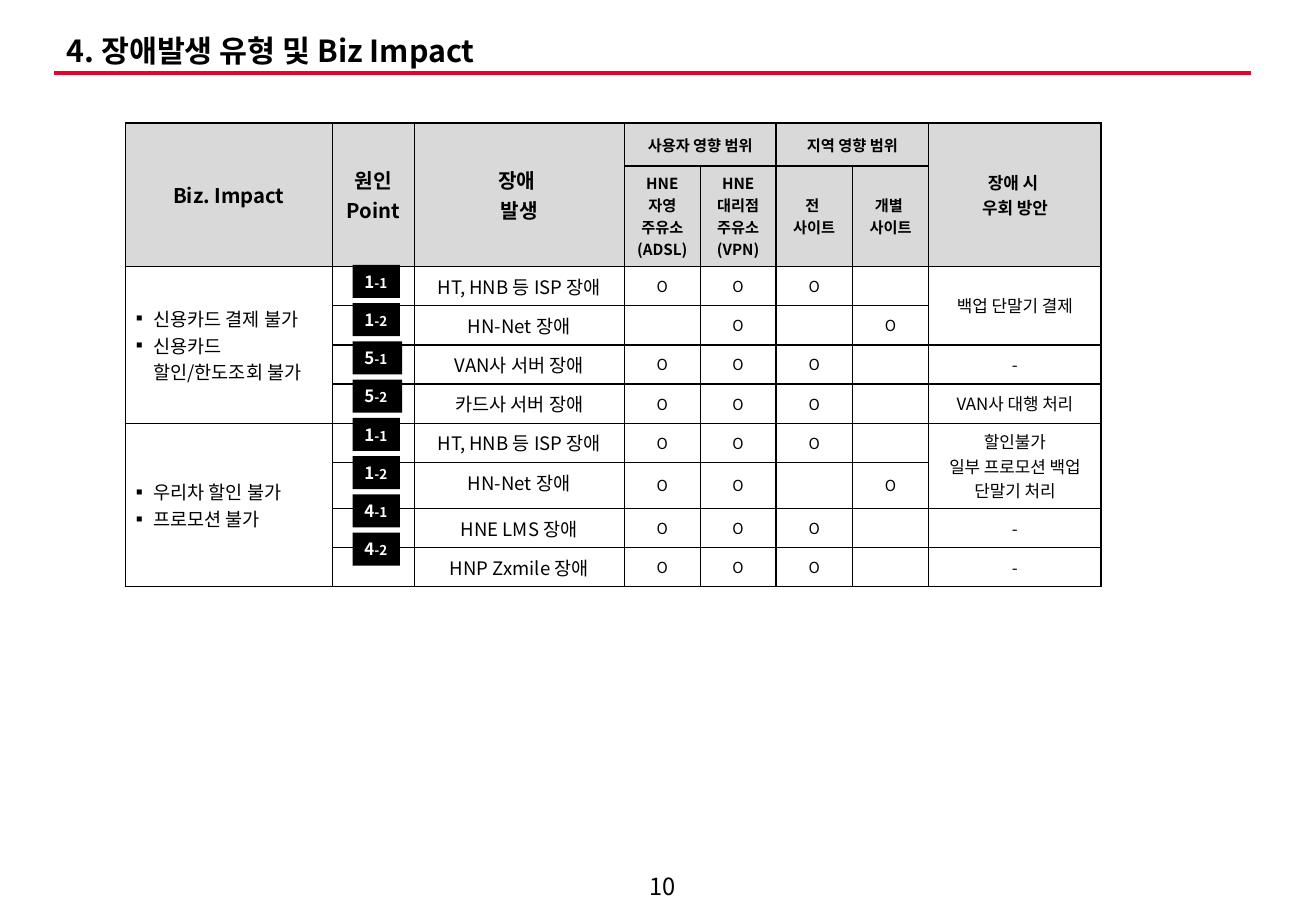
from lxml.etree import SubElement
from pptx import Presentation
from pptx.dml.color import RGBColor
from pptx.enum.shapes import MSO_CONNECTOR, MSO_SHAPE
from pptx.enum.text import MSO_ANCHOR, MSO_AUTO_SIZE, PP_ALIGN
from pptx.oxml.ns import qn
from pptx.util import Cm, Pt

BLACK = RGBColor(0x00, 0x00, 0x00)
WHITE = RGBColor(0xFF, 0xFF, 0xFF)
GREY = RGBColor(0xD9, 0xD9, 0xD9)
RED = RGBColor(0xEA, 0x00, 0x2C)
FONT = "Noto Sans CJK KR"

COLUMN_WIDTHS = [4.33, 1.71, 4.39, 1.59, 1.58, 1.6, 1.59, 3.61]
# The second header row holds four lines; the eighth row a tall bypass text
ROW_HEIGHTS = [0.9, 2.1] + [0.82] * 5 + [0.96] + [0.82] * 2

# (first row, first column, last row, last column)
MERGES = [(0, 0, 1, 0), (0, 1, 1, 1), (0, 2, 1, 2), (0, 3, 0, 4),
          (0, 5, 0, 6), (0, 7, 1, 7), (2, 0, 5, 0), (6, 0, 9, 0),
          (2, 7, 3, 7), (6, 7, 7, 7)]

# (row, column, size, lines)
HEADERS = [
    (0, 0, 12, ["Biz. Impact"]),
    (0, 1, 12, ["원인Point"]),
    (0, 2, 12, ["장애 ", "발생"]),
    (0, 3, 9, ["사용자 영향 범위"]),
    (0, 5, 9, ["지역 영향 범위"]),
    (0, 7, 10, ["장애 시 ", "우회 방안"]),
    (1, 3, 9, ["HNE", "자영", "주유소", "(ADSL)"]),
    (1, 4, 9, ["HNE", "대리점", "주유소", "(VPN)"]),
    (1, 5, 9, ["전 ", "사이트"]),
    (1, 6, 9, ["개별 ", "사이트"]),
]

IMPACTS = {
    2: ["신용카드 결제 불가", "신용카드 할인/한도조회 불가"],
    6: ["우리차 할인 불가", "프로모션 불가"],
}

# (cause point, failure, marks for the four scope columns, bypass lines)
FAILURES = [
    ("1-1", "HT, HNB 등 ISP 장애", "OOO ", ["백업 단말기 결제"]),
    ("1-2", "HN-Net 장애", " O O", []),
    ("5-1", "VAN사 서버 장애", "OOO ", ["-"]),
    ("5-2", "카드사 서버 장애", "OOO ", ["VAN사 대행 처리"]),
    ("1-1", "HT, HNB 등 ISP 장애", "OOO ",
     ["할인불가", "일부 프로모션 백업 단말기 처리"]),
    ("1-2", "HN-Net 장애", "OO O", []),
    ("4-1", "HNE LMS 장애", "OOO ", ["-"]),
    ("4-2", "HNP Zxmile 장애", "OOO ", ["-"]),
]


class SlideBuilder:
    def __init__(self, slide, font):
        self.slide = slide
        self.font = font

    def add_run(self, paragraph, text, size, bold=False, color=BLACK):
        run = paragraph.add_run()
        run.text = text
        style = {"name": self.font, "size": Pt(size), "bold": bold}
        for key, value in style.items():
            setattr(run.font, key, value)
        run.font.color.rgb = color
        SubElement(run.font._element, qn("a:ea"), typeface=self.font)

    def format_frame(self, frame, **values):
        for key, value in values.items():
            setattr(frame, key, value)

    def text(self, left, top, width, height, text, size, bold=False,
             align=PP_ALIGN.LEFT, spacing=1.0):
        box = self.slide.shapes.add_textbox(Cm(left), Cm(top), Cm(width), Cm(height))
        frame = box.text_frame
        self.format_frame(frame, word_wrap=True, vertical_anchor=MSO_ANCHOR.MIDDLE)
        paragraph = frame.paragraphs[0]
        paragraph.alignment = align
        paragraph.line_spacing = spacing
        self.add_run(paragraph, text, size, bold)

    def rule(self, left, right, top, color, weight):
        line = self.slide.shapes.add_connector(
            MSO_CONNECTOR.STRAIGHT, Cm(left), Cm(top), Cm(right), Cm(top))
        line.line.color.rgb = color
        line.line.width = Pt(weight)
        SubElement(line._element.spPr, qn("a:effectLst"))

    def badge(self, left, top, width, height, point):
        badge = self.slide.shapes.add_shape(
            MSO_SHAPE.RECTANGLE, Cm(left), Cm(top), Cm(width), Cm(height))
        badge.shadow.inherit = False
        badge.fill.solid()
        badge.fill.fore_color.rgb = BLACK
        badge.line.fill.background()
        self.format_frame(badge.text_frame, word_wrap=False,
                          auto_size=MSO_AUTO_SIZE.SHAPE_TO_FIT_TEXT,
                          vertical_anchor=MSO_ANCHOR.MIDDLE)
        paragraph = badge.text_frame.paragraphs[0]
        paragraph.alignment = PP_ALIGN.LEFT
        self.add_run(paragraph, point[0], 10, True, WHITE)
        self.add_run(paragraph, point[1:], 8, True, WHITE)

    def table(self, left, top, widths, heights, merges, header_rows):
        table = self.slide.shapes.add_table(
            len(heights), len(widths), Cm(left), Cm(top),
            Cm(sum(widths)), Cm(sum(heights))).table
        table.first_row = table.horz_banding = False
        for column, width in zip(table.columns, widths):
            column.width = Cm(width)
        for index, (row, height) in enumerate(zip(table.rows, heights)):
            row.height = Cm(height)
            for cell in row.cells:
                self.style_cell(cell, GREY if index < header_rows else WHITE)
        for top_row, first, bottom_row, last in merges:
            table.cell(top_row, first).merge(table.cell(bottom_row, last))
        return table

    def style_cell(self, cell, color):
        properties = cell._tc.get_or_add_tcPr()
        for side in ("a:lnL", "a:lnR", "a:lnT", "a:lnB"):
            border = SubElement(properties, qn(side), w=str(Pt(1)))
            fill = SubElement(border, qn("a:solidFill"))
            SubElement(fill, qn("a:srgbClr"), val=str(BLACK))
        cell.fill.solid()
        cell.fill.fore_color.rgb = color
        # Small type keeps empty cells from stretching their row
        SubElement(cell.text_frame.paragraphs[0]._p, qn("a:endParaRPr"), sz="900")

    def fill_cell(self, cell, lines, size, bold=False,
                  anchor=MSO_ANCHOR.MIDDLE, bullet=None):
        cell.vertical_anchor = anchor
        if bullet:
            cell.margin_left = cell.margin_right = Cm(0.1)
        for index, line in enumerate(lines):
            frame = cell.text_frame
            paragraph = frame.add_paragraph() if index else frame.paragraphs[0]
            paragraph.alignment = PP_ALIGN.LEFT if bullet else PP_ALIGN.CENTER
            if bullet:
                properties = paragraph._p.get_or_add_pPr()
                for key, value in {"marL": Cm(0.48), "indent": -Cm(0.48)}.items():
                    properties.set(key, str(value))
                SubElement(properties, qn("a:buFont"), typeface=self.font)
                SubElement(properties, qn("a:buChar"), char=bullet)
            self.add_run(paragraph, line, size, bold)


def main():
    presentation = Presentation()
    presentation.slide_width = Cm(27.51)
    presentation.slide_height = Cm(19.05)
    slide = presentation.slides.add_slide(presentation.slide_layouts[6])
    builder = SlideBuilder(slide, FONT)

    # Page number, title and its rule
    builder.text(12.95, 18.14, 1.8, 0.79, "10", 14, align=PP_ALIGN.CENTER)
    builder.rule(1.14, 26.16, 1.52, RED, 2.25)
    builder.text(1.14, 0.64, 24.2, 0.94, "4. 장애발생 유형 및 Biz Impact", 18,
                 bold=True, spacing=0.9)

    # Impact table
    impact_table = builder.table(2.62, 2.57, COLUMN_WIDTHS, ROW_HEIGHTS, MERGES, 2)
    for row, column, size, lines in HEADERS:
        builder.fill_cell(impact_table.cell(row, column), lines, size, bold=True)
    for row, impacts in IMPACTS.items():
        builder.fill_cell(impact_table.cell(row, 0), impacts, 11, bullet="▪")
    for row, (_, failure, scope, bypass) in enumerate(FAILURES, start=2):
        builder.fill_cell(impact_table.cell(row, 2), [failure], 11,
                          anchor=MSO_ANCHOR.TOP)
        for column, mark in enumerate(scope, start=3):
            if mark == "O":
                builder.fill_cell(impact_table.cell(row, column), [mark], 9)
        if bypass:
            builder.fill_cell(impact_table.cell(row, 7), bypass, 10)

    # Cause point badges
    for index, (point, *_) in enumerate(FAILURES):
        width = 1.04 if point.startswith("5") else 0.99
        builder.badge(7.37, 5.54 + 0.8 * index, width, 0.69, point)

    presentation.save("out.pptx")


if __name__ == "__main__":
    main()
